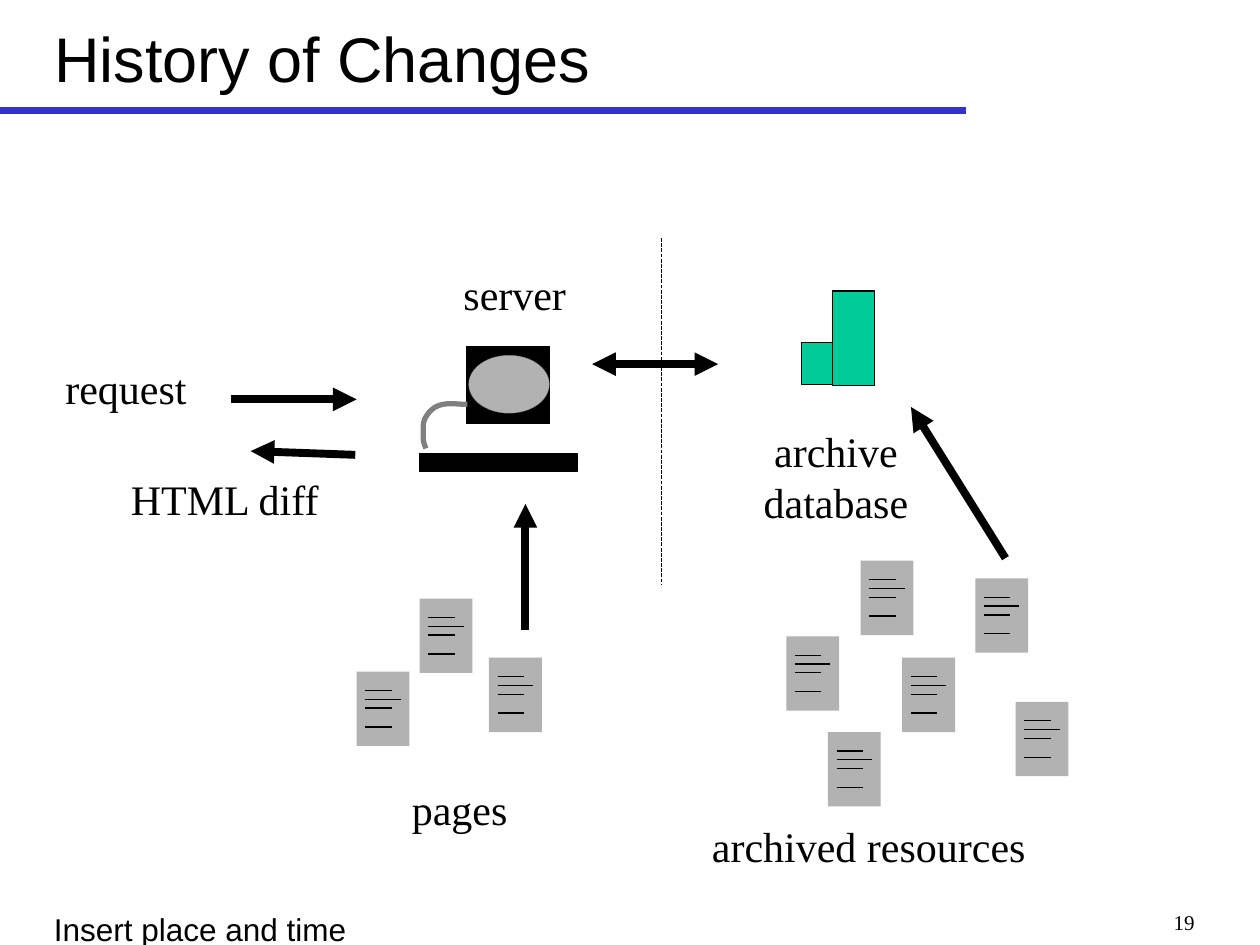
from typing import NamedTuple, Optional

from lxml.etree import SubElement
from pptx import Presentation
from pptx.dml.color import RGBColor
from pptx.enum.dml import MSO_LINE_DASH_STYLE as Dash
from pptx.enum.shapes import MSO_CONNECTOR as Connector, MSO_SHAPE as Shape
from pptx.enum.text import MSO_ANCHOR as Anchor, MSO_AUTO_SIZE as AutoSize, PP_ALIGN as Align
from pptx.oxml.ns import qn
from pptx.util import Inches, Pt

COLUMNS, ROWS = 100, 75  # grid that covers the slide
BLACK, GREY, DARK_GREY, GREEN, BLUE = "000000", "B2B2B2", "808080", "00CC99", "3333CC"
SERIF, SANS = "Times New Roman", "Arial"

presentation = Presentation()
presentation.slide_width, presentation.slide_height = Inches(10), Inches(7.5)
slide = presentation.slides.add_slide(presentation.slide_layouts[5])


class Box(NamedTuple):
    column: float
    row: float
    columns: float
    rows: float


class Label(NamedTuple):
    text: str
    box: Box
    align: Align = Align.LEFT


class Arrow(NamedTuple):
    start: tuple[float, float]
    end: tuple[float, float]
    both_ways: bool = False


def x(columns: float) -> int:
    return round(presentation.slide_width * columns / COLUMNS)


def y(rows: float) -> int:
    return round(presentation.slide_height * rows / ROWS)


def place(box: Box) -> tuple[int, int, int, int]:
    return x(box.column), y(box.row), x(box.columns), y(box.rows)


def color(hex_string: str) -> RGBColor:
    return RGBColor.from_string(hex_string)


def write(shape, text: str, *, size: float = 24, font: str = SERIF, align=Align.LEFT,
          anchor=Anchor.TOP, wrap: bool = True) -> None:
    frame = shape.text_frame
    frame.text = text
    frame.word_wrap = wrap
    frame.auto_size = AutoSize.NONE if wrap else AutoSize.SHAPE_TO_FIT_TEXT
    frame.vertical_anchor = anchor
    for paragraph in frame.paragraphs:
        paragraph.alignment = align
        paragraph.font.size = Pt(size)
        paragraph.font.name = font
        paragraph.font.color.rgb = color(BLACK)


def add_text(text: str, box: Box, **text_format) -> None:
    write(slide.shapes.add_textbox(*place(box)), text, **text_format)


def add_block(kind: Shape, box: Box, fill: str, line: Optional[str] = None,
              width: float = 0.75, dash: Optional[Dash] = None) -> None:
    shape = slide.shapes.add_shape(kind, *place(box))
    shape.shadow.inherit = False
    shape.fill.solid()
    shape.fill.fore_color.rgb = color(fill)
    if line is None:
        shape.line.fill.background()
        return
    shape.line.color.rgb = color(line)
    shape.line.width = Pt(width)
    if dash is not None:
        shape.line.dash_style = dash


def add_line(start: tuple[float, float], end: tuple[float, float], width: float = 0.75,
             line: str = BLACK, dash: Optional[Dash] = None, ends: tuple[str, ...] = ()) -> None:
    connector = slide.shapes.add_connector(
        Connector.STRAIGHT, x(start[0]), y(start[1]), x(end[0]), y(end[1]))
    connector.line.color.rgb = color(line)
    connector.line.width = Pt(width)
    if dash is not None:
        connector.line.dash_style = dash
    properties = connector._element.spPr
    for end_name in ends:
        SubElement(properties.get_or_add_ln(), qn(f"a:{end_name}"), type="triangle")
    SubElement(properties, qn("a:effectLst"))


def add_page(column: float, row: float) -> None:
    add_block(Shape.RECTANGLE, Box(column, row, 4.2, 5.9), GREY)
    for offset, length in ((1.5, 2.1), (2.2, 2.8), (2.9, 2.1), (4.4, 2.1)):
        add_line((column + 0.7, row + offset), (column + 0.7 + length, row + offset))


def bezier(points: list[tuple[float, float]], steps: int = 12) -> list[tuple[int, int]]:
    result = []
    for step in range(1, steps + 1):
        t = step / steps
        weights = ((1 - t) ** 3, 3 * t * (1 - t) ** 2, 3 * t ** 2 * (1 - t), t ** 3)
        result.append((x(sum(w * p[0] for w, p in zip(weights, points))),
                       y(sum(w * p[1] for w, p in zip(weights, points)))))
    return result


def add_cable(points: list[tuple[float, float]]) -> None:
    builder = slide.shapes.build_freeform(x(points[0][0]), y(points[0][1]))
    for first in range(0, len(points) - 1, 3):
        builder.add_line_segments(bezier(points[first:first + 4]), close=False)
    cable = builder.convert_to_shape()
    cable.shadow.inherit = False
    cable.fill.background()
    cable.line.color.rgb = color(DARK_GREY)
    cable.line.width = Pt(3)


PAGES = [(33.3, 47.5), (28.3, 53.3), (38.8, 52.2)]
ARCHIVED = [(71.6, 52.2), (65.7, 58.1), (62.4, 50.5), (80.6, 55.7), (77.4, 45.9), (68.3, 44.5)]
LABELS = [
    Label("pages", Box(31.7, 61.7, 9.8, 5)),
    Label("server", Box(35.8, 20.8, 10.6, 5)),
    Label("request", Box(4.2, 28.3, 11.8, 5)),
    Label("HTML diff", Box(9.4, 37.1, 17.3, 5)),
    Label("archive\ndatabase", Box(59.5, 33.3, 13.7, 9), Align.CENTER),
    Label("archived resources", Box(55.4, 64.6, 27.1, 5), Align.CENTER),
]
ARROWS = [
    Arrow((18.3, 31.7), (28.3, 31.7)),
    Arrow((28.2, 36.1), (19.9, 35.8)),
    Arrow((41.7, 50), (41.7, 40)),
    Arrow((47, 28.9), (57, 28.9), both_ways=True),
    Arrow((79.8, 44.3), (72.3, 32.3)),
]

# Title and its rule
add_line((0, 8.8), (76.7, 8.8), width=4, line=BLUE)
title = slide.shapes.title
title.left, title.top, title.width, title.height = place(Box(3.3, 0.4, 74.5, 8.3))
write(title, "History of Changes", size=36, font=SANS, anchor=Anchor.MIDDLE)

# Server: monitor, screen, keyboard, cable
add_block(Shape.RECTANGLE, Box(37, 27.5, 6.6, 6.1), BLACK, BLACK)
add_block(Shape.OVAL, Box(37.2, 28.2, 6.4, 4.6), GREY, DARK_GREY, 0.25, Dash.ROUND_DOT)
add_block(Shape.RECTANGLE, Box(33.3, 36, 12.5, 1.4), BLACK, BLACK)
add_cable([(33.8, 35.6), (33.7, 35.3), (33.6, 35.1), (33.6, 34.8), (33.6, 34.2),
           (33.5, 33.6), (33.8, 33.1), (34.6, 31.7), (35.9, 32.1), (37.1, 32.1)])

# Archive database and the divider before it
add_line((52.5, 18.9), (52.5, 46.4), dash=Dash.SQUARE_DOT)
add_block(Shape.RECTANGLE, Box(63.6, 27.2, 2.5, 3.3), GREEN, BLACK)
add_block(Shape.RECTANGLE, Box(66.1, 23.1, 3.3, 7.5), GREEN, BLACK)

# Documents, arrows and labels
for position in PAGES + ARCHIVED:
    add_page(*position)
for arrow in ARROWS:
    add_line(arrow.start, arrow.end, width=4.5,
             ends=("headEnd", "tailEnd") if arrow.both_ways else ("tailEnd",))
for label in LABELS:
    add_text(label.text, label.box, align=label.align, wrap=False)

# Footer
add_text("Insert place and time", Box(3.3, 71.7, 66.3, 2.5), size=18, font=SANS)
add_text("19", Box(75, 71.7, 20.8, 2.5), size=12, align=Align.RIGHT)

presentation.save("out.pptx")
